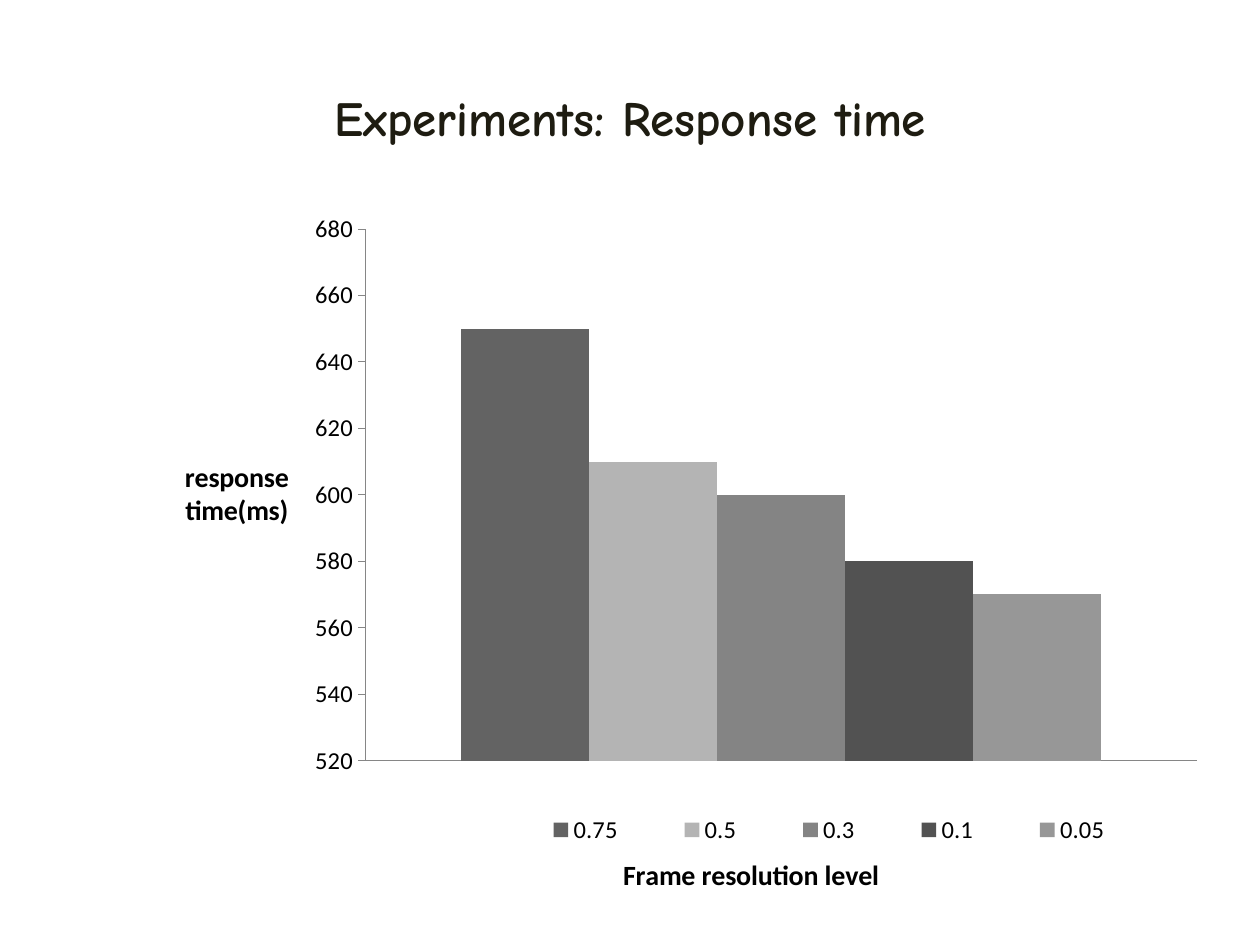
from typing import NamedTuple

from lxml import etree
from pptx import Presentation
from pptx.chart.data import CategoryChartData
from pptx.dml.color import RGBColor
from pptx.enum.chart import XL_CHART_TYPE, XL_LEGEND_POSITION, XL_TICK_LABEL_POSITION, XL_TICK_MARK
from pptx.enum.text import MSO_ANCHOR, PP_ALIGN
from pptx.oxml.ns import qn
from pptx.util import Inches, Pt

COLUMN = XL_CHART_TYPE.COLUMN_CLUSTERED
LEGEND_BOTTOM = XL_LEGEND_POSITION.BOTTOM
NO_LABELS = XL_TICK_LABEL_POSITION.NONE
NO_TICK = XL_TICK_MARK.NONE
OUTSIDE_TICK = XL_TICK_MARK.OUTSIDE
MIDDLE = MSO_ANCHOR.MIDDLE
CENTER = PP_ALIGN.CENTER
AXIS_GRAY = "868686"


class Resolution(NamedTuple):
    level: str
    response_time: int
    color: str


RESOLUTIONS = [
    Resolution("0.75", 650, "636363"),
    Resolution("0.5", 610, "B4B4B4"),
    Resolution("0.3", 600, "848484"),
    Resolution("0.1", 580, "525252"),
    Resolution("0.05", 570, "979797"),
]


def rgb(value: str) -> RGBColor:
    return RGBColor.from_string(value)


def format_font(font, name: str, size: float, color: str, bold: bool = False) -> None:
    for key, value in {"name": name, "size": Pt(size), "bold": bold}.items():
        setattr(font, key, value)
    font.color.rgb = rgb(color)


def set_layout(element, previous: str, **percentages: float) -> None:
    for old in element.findall(qn("c:layout")):
        element.remove(old)
    layout = etree.Element(qn("c:layout"))
    manual = etree.SubElement(layout, qn("c:manualLayout"))
    if previous:
        element.find(qn(previous)).addnext(layout)
    else:
        etree.SubElement(manual, qn("c:layoutTarget"), val="inner")
        element.insert(0, layout)
    for mode in ("xMode", "yMode"):
        etree.SubElement(manual, qn(f"c:{mode}"), val="edge")
    for key, value in percentages.items():
        etree.SubElement(manual, qn(f"c:{key}"), val=str(value / 100))


def add_axis_title(axis, text: str, x: float, y: float) -> None:
    text_frame = axis.axis_title.text_frame
    text_frame.text = text
    format_font(text_frame.paragraphs[0].runs[0].font, "Calibri", 16, "000000", True)
    title = axis.axis_title._element
    title.find(f".//{qn('a:bodyPr')}").set("rot", "0")
    set_layout(title, "c:tx", x=x, y=y)


def add_title(slide, text: str) -> None:
    title = slide.shapes.title
    places = {"left": 0.5, "top": 0.3, "width": 9, "height": 1.25}
    for key, value in places.items():
        setattr(title, key, Inches(value))
    title.text_frame.text = text
    title.text_frame.vertical_anchor = MIDDLE
    paragraph = title.text_frame.paragraphs[0]
    paragraph.alignment = CENTER
    format_font(paragraph.runs[0].font, "Comic Neue", 28, "1E1C11", True)


def add_response_chart(slide) -> None:
    data = CategoryChartData()
    data.categories = ["1"]
    for resolution in RESOLUTIONS:
        data.add_series(resolution.level, [resolution.response_time])
    chart = slide.shapes.add_chart(
        COLUMN, Inches(1.25), Inches(1.58), Inches(8.42), Inches(5.58), data
    ).chart
    chart.has_title = False
    format_font(chart.font, "Calibri", 10, "000000")

    plot = chart.plots[0]
    for key, value in {"gap_width": 150, "overlap": 0, "vary_by_categories": False}.items():
        setattr(plot, key, value)
    for series, resolution in zip(plot.series, RESOLUTIONS):
        series.format.fill.solid()
        series.format.fill.fore_color.rgb = rgb(resolution.color)

    axis_formats = [
        (chart.category_axis, {"tick_label_position": NO_LABELS, "major_tick_mark": NO_TICK}),
        (chart.value_axis, {"minimum_scale": 520, "maximum_scale": 680, "major_unit": 20,
                            "major_tick_mark": OUTSIDE_TICK}),
    ]
    for axis, values in axis_formats:
        values |= {"has_major_gridlines": False, "minor_tick_mark": NO_TICK}
        for key, value in values.items():
            setattr(axis, key, value)
        axis.format.line.color.rgb = rgb(AXIS_GRAY)
        axis.format.line.width = Pt(0.5)
    format_font(chart.value_axis.tick_labels.font, "Calibri", 14, "000000")
    add_axis_title(chart.category_axis, "Frame resolution level", 43.4, 93.4)
    add_axis_title(chart.value_axis, "response time(ms)", 2.1, 36.3)

    chart.has_legend = True
    legend = chart.legend
    legend.position = LEGEND_BOTTOM
    legend.include_in_layout = False
    format_font(legend.font, "Calibri", 14, "000000")
    set_layout(legend._element, "c:legendPos", x=31.8, y=87.3, w=63, h=6)
    plot_area = chart._chartSpace.chart.plotArea
    set_layout(plot_area, "", x=19.6, y=4.3, w=78.4, h=76.1)


def main() -> None:
    presentation = Presentation()
    presentation.slide_width = Inches(10)
    presentation.slide_height = Inches(7.5)
    slide = presentation.slides.add_slide(presentation.slide_layouts[5])
    add_title(slide, "Experiments: Response time")
    add_response_chart(slide)
    presentation.save("out.pptx")


if __name__ == "__main__":
    main()
